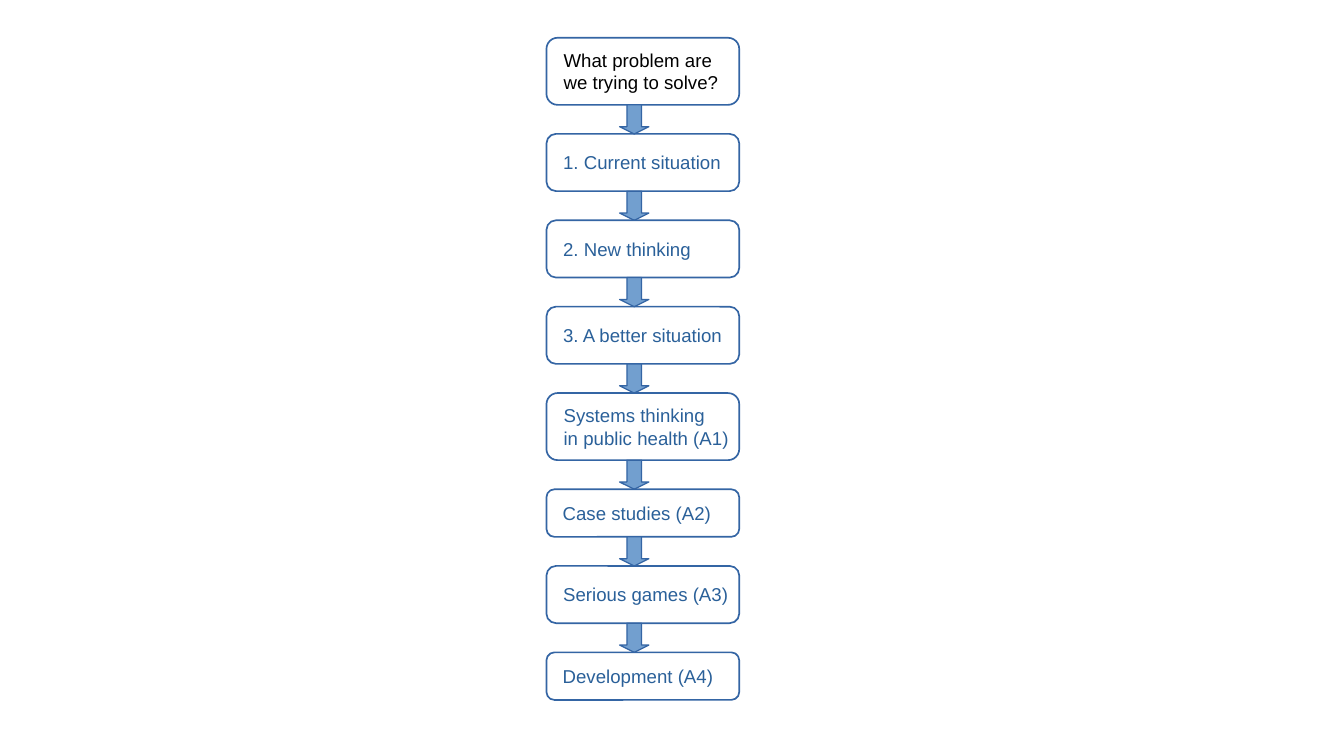
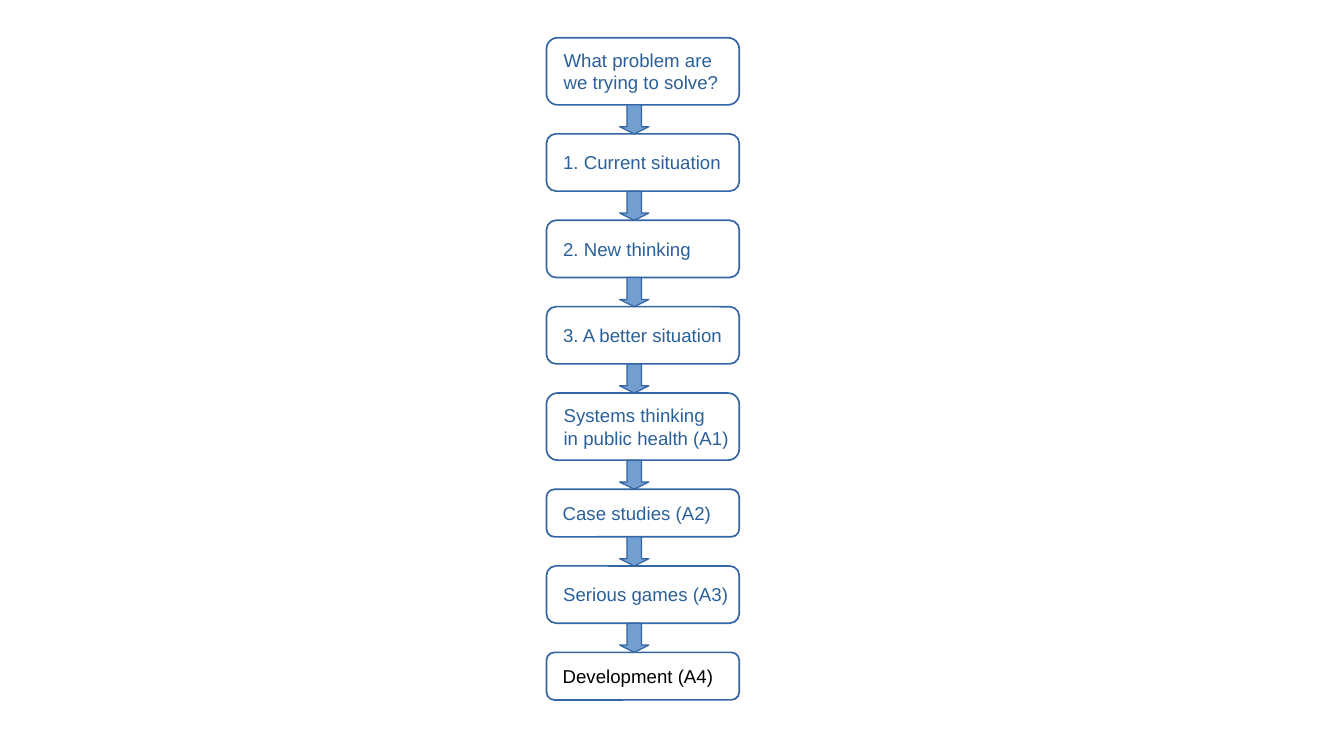
import dataclasses

import pptx
import pptx.dml.color
import pptx.enum.shapes
import pptx.enum.text
import pptx.util

Pt = pptx.util.Pt
RGB = pptx.dml.color.RGBColor.from_string
SHAPES = pptx.enum.shapes.MSO_SHAPE


@dataclasses.dataclass(frozen=True)
class Theme:
    font: str = "Arial"
    size: float = 11
    text: str = "2A6099"
    current: str = "000000"
    outline: str = "3465A4"
    arrow: str = "729FCF"


THEME = Theme()
SLIDE_WIDTH, SLIDE_HEIGHT = 793.44, 446.4
STEP_LEFT, STEP_WIDTH = 322.6, 113.8
FIRST_TOP, GAP = 22.3, 17.2
ARROW_LEFT, ARROW_WIDTH = 365.8, 17.3
SHORT, MEDIUM, TALL = 28.1, 33.8, 39.6

STEPS = [
    ("What problem are\nwe trying to solve?", TALL),
    ("1. Current situation", MEDIUM),
    ("2. New thinking", MEDIUM),
    ("3. A better situation", MEDIUM),
    ("Systems thinking\nin public health (A1)", TALL),
    ("Case studies (A2)", SHORT),
    ("Serious games (A3)", MEDIUM),
    ("Development (A4)", SHORT),
]
CURRENT_STEPS = [0, len(STEPS) - 1]

FRAME_FORMAT = {
    "word_wrap": True,
    "vertical_anchor": pptx.enum.text.MSO_ANCHOR.MIDDLE,
    "margin_left": Pt(8.2),
    "margin_right": Pt(0),
    "margin_top": Pt(4.2),
    "margin_bottom": Pt(4.2),
}
FONT_FORMAT = {"name": THEME.font, "size": Pt(THEME.size)}


def apply_format(target, values):
    for name, value in values.items():
        setattr(target, name, value)


def add_outlined(slide, preset, left, top, width, height, line_width):
    shape = slide.shapes.add_shape(preset, Pt(left), Pt(top), Pt(width), Pt(height))
    shape.shadow.inherit = False
    shape.line.color.rgb = RGB(THEME.outline)
    shape.line.width = Pt(line_width)
    return shape


def add_step(slide, label, top, height, color):
    step = add_outlined(slide, SHAPES.ROUNDED_RECTANGLE, STEP_LEFT, top, STEP_WIDTH, height, 1)
    step.fill.background()
    frame = step.text_frame
    apply_format(frame, FRAME_FORMAT)
    frame.text = label
    for paragraph in frame.paragraphs:
        paragraph.alignment = pptx.enum.text.PP_ALIGN.LEFT
        apply_format(paragraph.font, FONT_FORMAT)
        paragraph.font.color.rgb = RGB(color)


def add_arrow(slide, top):
    arrow = add_outlined(slide, SHAPES.DOWN_ARROW, ARROW_LEFT, top, ARROW_WIDTH, GAP, 0)
    arrow.adjustments[1] = 0.25
    arrow.fill.solid()
    arrow.fill.fore_color.rgb = RGB(THEME.arrow)


def add_roadmap(slide, current):
    top = FIRST_TOP
    for index, (label, height) in enumerate(STEPS):
        if index:
            add_arrow(slide, top - GAP)
        color = THEME.current if index == current else THEME.text
        add_step(slide, label, top, height, color)
        top += height + GAP


def main():
    deck = pptx.Presentation()
    apply_format(deck, {"slide_width": Pt(SLIDE_WIDTH), "slide_height": Pt(SLIDE_HEIGHT)})
    blank = deck.slide_layouts.get_by_name("Blank")
    for current in CURRENT_STEPS:
        add_roadmap(deck.slides.add_slide(blank), current)
    deck.save("out.pptx")


if __name__ == "__main__":
    main()
